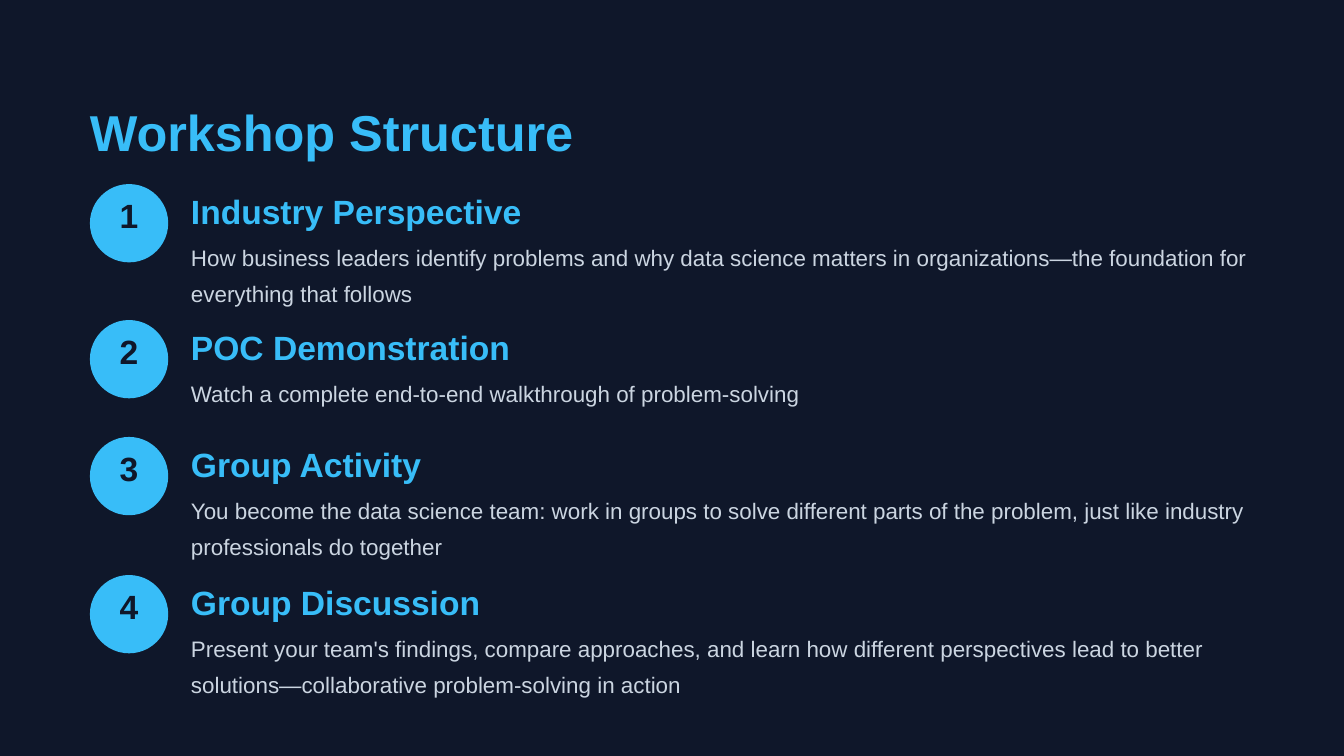
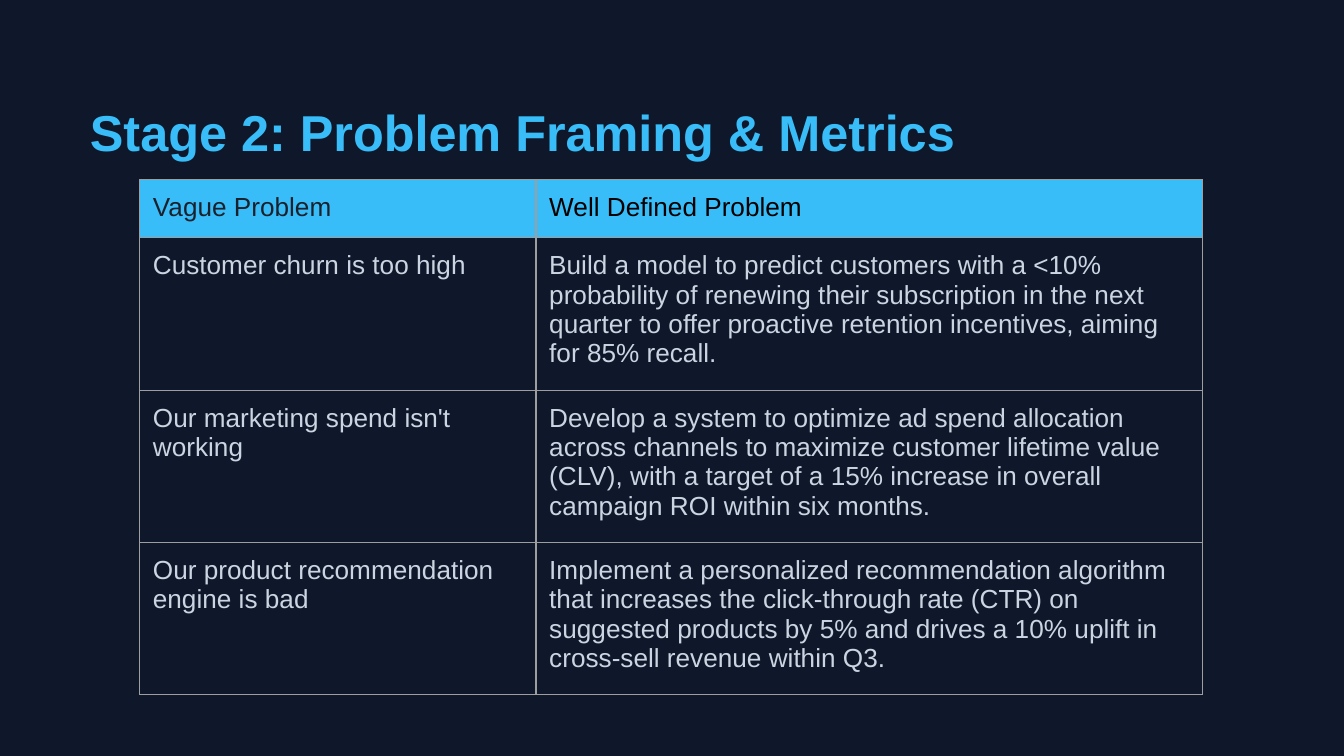
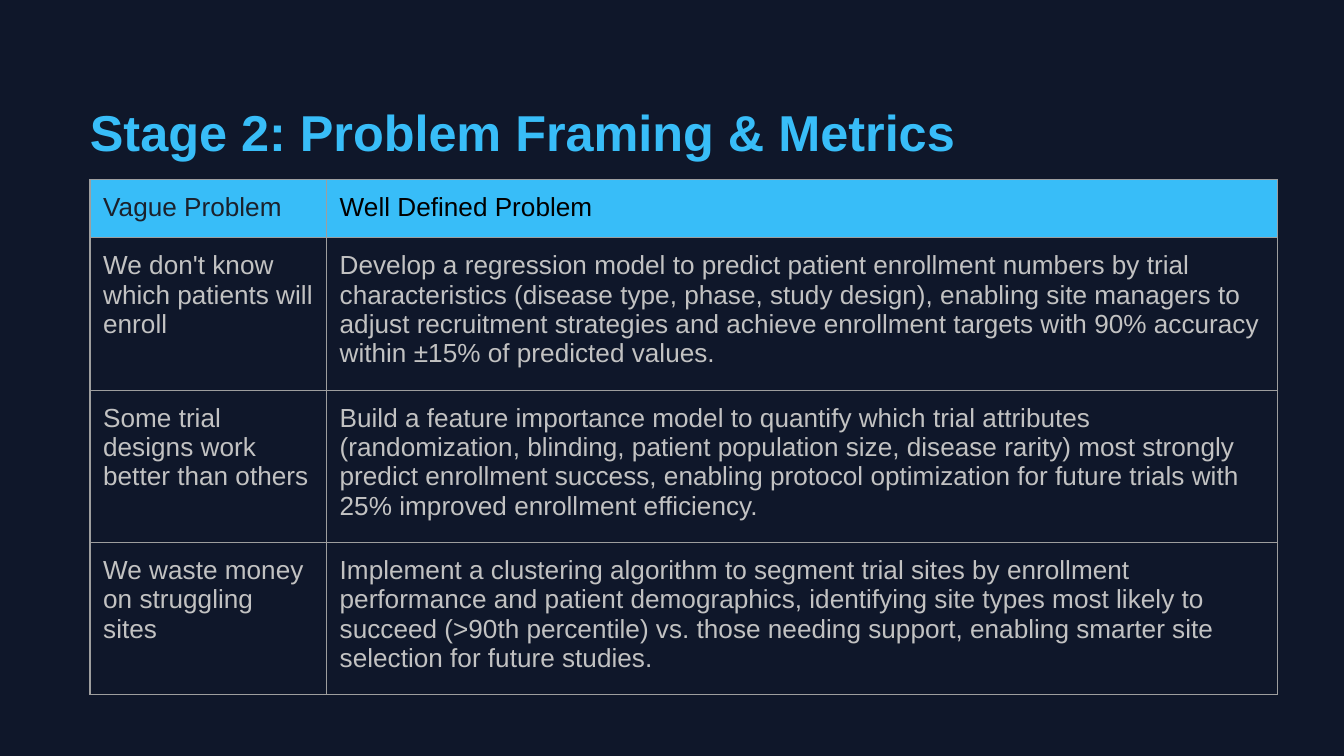
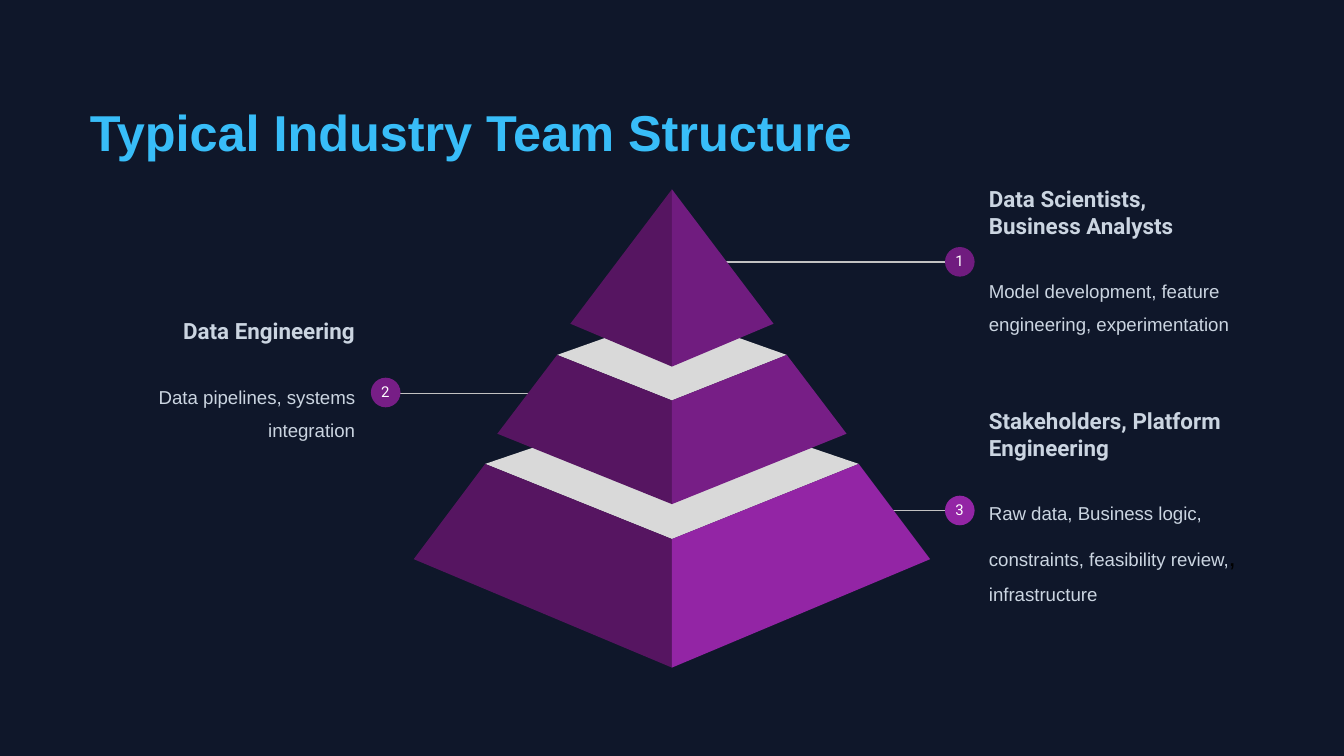
"""Build four dark workshop slides: structure, two framing tables and a team pyramid."""
from dataclasses import dataclass

from lxml.etree import SubElement
from pptx import Presentation
from pptx.dml.color import RGBColor
from pptx.enum.shapes import MSO_CONNECTOR, MSO_SHAPE
from pptx.enum.text import MSO_ANCHOR, MSO_AUTO_SIZE, PP_ALIGN
from pptx.oxml.ns import qn
from pptx.util import Cm, Pt


@dataclass(frozen=True)
class Theme:
    night: str = "0F172A"
    sky: str = "38BDF8"
    mist: str = "CBD5E1"
    silver: str = "C2C2C2"
    border: str = "9E9E9E"
    ink: str = "1B212C"
    black: str = "000000"
    white: str = "FFFFFF"
    ledge: str = "D9D9D9"
    shade: str = "561561"
    tiers: tuple = ("701C7F", "771E86", "9325A5")
    body_font: str = "Arial"
    label_font: str = "Roboto"
    title: int = 27
    heading: int = 18
    cell: int = 14
    text: int = 12
    detail: int = 10
    badge: int = 8


theme = Theme()


def paint(shape, color):
    shape.shadow.inherit = False
    shape.fill.solid()
    shape.fill.fore_color.rgb = RGBColor.from_string(color)
    shape.line.fill.background()


def write(slide, box, text, size, color, bold=False, align=PP_ALIGN.LEFT,
          spacing=None, font=theme.body_font, margin=0.0, grow=False):
    frame = slide.shapes.add_textbox(*[Cm(length) for length in box]).text_frame
    frame.word_wrap = True
    frame.auto_size = MSO_AUTO_SIZE.SHAPE_TO_FIT_TEXT if grow else MSO_AUTO_SIZE.NONE
    frame.margin_left = frame.margin_right = Cm(margin)
    frame.margin_top = frame.margin_bottom = Cm(margin)
    paragraph = frame.paragraphs[0]
    paragraph.text = text
    paragraph.alignment = align
    paragraph.line_spacing = spacing
    paragraph.font.name = font
    paragraph.font.size = Pt(size)
    paragraph.font.bold = bold
    paragraph.font.color.rgb = RGBColor.from_string(color)
    return frame


deck = Presentation()
deck.slide_width, deck.slide_height = Cm(25.4), Cm(14.29)

framing_title = "Stage 2: Problem Framing & Metrics"
slides = []
for title in ("Workshop Structure", framing_title, framing_title,
              "Typical Industry Team Structure"):
    slide = deck.slides.add_slide(deck.slide_layouts[6])
    slide.background.fill.solid()
    slide.background.fill.fore_color.rgb = RGBColor.from_string(theme.night)
    write(slide, (1.7, 1.7, 22.45, 1.14), title, theme.title, theme.sky,
          bold=True, spacing=1.19, grow=True)
    slides.append(slide)
structure, business_framing, trial_framing, team = slides

steps = [
    (3.48, "Industry Perspective",
     "How business leaders identify problems and why data science matters in "
     "organizations—the foundation for everything that follows"),
    (6.05, "POC Demonstration",
     "Watch a complete end-to-end walkthrough of problem-solving"),
    (8.26, "Group Activity",
     "You become the data science team: work in groups to solve different parts of the "
     "problem, just like industry professionals do together"),
    (10.87, "Group Discussion",
     "Present your team's findings, compare approaches, and learn how different "
     "perspectives lead to better solutions—collaborative problem-solving in action"),
]
for number, (top, heading, description) in enumerate(steps, 1):
    disc = structure.shapes.add_shape(
        MSO_SHAPE.ROUNDED_RECTANGLE, Cm(1.7), Cm(top), Cm(1.48), Cm(1.48))
    disc.adjustments[0] = 0.5
    paint(disc, theme.sky)
    write(structure, (1.92, top + 0.21, 1.04, 1.04), str(number), theme.heading,
          theme.night, bold=True, align=PP_ALIGN.CENTER)
    write(structure, (3.61, top, 20.52, 0.74), heading, theme.heading, theme.sky,
          bold=True, spacing=1.17, grow=True)
    write(structure, (3.61, top + 0.97, 20.52, 1.19), description, theme.text,
          theme.mist, spacing=1.33, grow=True)

business_problems = [
    ("Customer churn is too high",
     "Build a model to predict customers with a <10% probability of renewing their "
     "subscription in the next quarter to offer proactive retention incentives, aiming "
     "for 85% recall."),
    ("Our marketing spend isn't working",
     "Develop a system to optimize ad spend allocation across channels to maximize "
     "customer lifetime value (CLV), with a target of a 15% increase in overall campaign "
     "ROI within six months."),
    ("Our product recommendation engine is bad",
     "Implement a personalized recommendation algorithm that increases the click-through "
     "rate (CTR) on suggested products by 5% and drives a 10% uplift in cross-sell "
     "revenue within Q3."),
]
trial_problems = [
    ("We don't know which patients will enroll",
     "Develop a regression model to predict patient enrollment numbers by trial "
     "characteristics (disease type, phase, study design), enabling site managers to "
     "adjust recruitment strategies and achieve enrollment targets with 90% accuracy "
     "within ±15% of predicted values."),
    ("Some trial designs work better than others",
     "Build a feature importance model to quantify which trial attributes "
     "(randomization, blinding, patient population size, disease rarity) most strongly "
     "predict enrollment success, enabling protocol optimization for future trials with "
     "25% improved enrollment efficiency."),
    ("We waste money on struggling sites",
     "Implement a clustering algorithm to segment trial sites by enrollment performance "
     "and patient demographics, identifying site types most likely to succeed (>90th "
     "percentile) vs. those needing support, enabling smarter site selection for future "
     "studies."),
]
header = ("Vague Problem", "Well Defined Problem")
row_heights = (1.08, 2.88, 2.88, 2.88)
framings = [
    (business_framing, 2.64, (7.49, 12.6), theme.mist, business_problems),
    (trial_framing, 1.7, (4.47, 17.98), theme.silver, trial_problems),
]
for slide, left, widths, body_color, problems in framings:
    grid = slide.shapes.add_table(
        len(row_heights), len(widths), Cm(left), Cm(3.4),
        Cm(sum(widths)), Cm(sum(row_heights))).table
    grid.first_row = grid.horz_banding = False
    for column, width in zip(grid.columns, widths):
        column.width = Cm(width)
    for row, height, texts in zip(grid.rows, row_heights, [header, *problems]):
        row.height = Cm(height)
        is_header = texts is header
        colors = (theme.ink, theme.black) if is_header else (body_color, body_color)
        for cell, text, color in zip(row.cells, texts, colors):
            cell.margin_left = cell.margin_right = Cm(0.25)
            cell.margin_top = cell.margin_bottom = Cm(0.25)
            properties = cell._tc.get_or_add_tcPr()
            for edge in ("a:lnL", "a:lnR", "a:lnT", "a:lnB"):
                rule = SubElement(properties, qn(edge), w=str(Pt(0.75)))
                SubElement(SubElement(rule, qn("a:solidFill")), qn("a:srgbClr"),
                           val=theme.border)
            if is_header:
                cell.fill.solid()
                cell.fill.fore_color.rgb = RGBColor.from_string(theme.sky)
            else:
                cell.fill.background()
            paragraph = cell.text_frame.paragraphs[0]
            paragraph.text = text
            paragraph.font.name = theme.body_font
            paragraph.font.size = Pt(theme.cell)
            paragraph.font.bold = False
            paragraph.font.color.rgb = RGBColor.from_string(color)

roles = [
    (3, "Stakeholders, Platform Engineering",
     ("Raw data, Business logic, constraints, feasibility review,", ", ", "infrastructure"),
     (18.44, 7.65), (17.86, 9.37), (16.76, 18.39, 9.65), PP_ALIGN.LEFT, 0.25),
    (2, "Data Engineering", ("Data pipelines, systems integration",),
     (1.78, 5.51), (7.01, 7.14), (10.08, 7.19, 7.44), PP_ALIGN.RIGHT, 0.76),
    (1, "Data Scientists, Business Analysts",
     ("Model development, feature engineering, experimentation",),
     (18.44, 3.0), (17.86, 4.67), (13.64, 18.39, 4.95), PP_ALIGN.LEFT, 0.25),
]
for level, role, duties, corner, badge_corner, leader_span, align, bottom_margin in roles:
    start, end, height = [Cm(length) for length in leader_span]
    leader = team.shapes.add_connector(MSO_CONNECTOR.STRAIGHT, start, height, end, height)
    leader.line.color.rgb = RGBColor.from_string(theme.silver)
    leader.line.width = Pt(0.75)
    SubElement(leader._element.spPr, qn("a:effectLst"))

    caption = write(team, (*corner, 5.18, 3.84), role, theme.text, theme.mist, bold=True,
                    align=align, font=theme.label_font, margin=0.25)
    caption.vertical_anchor = MSO_ANCHOR.MIDDLE
    caption.margin_bottom = Cm(bottom_margin)
    duty_line = caption.add_paragraph()
    duty_line.alignment = align
    duty_line.line_spacing = 1.5
    duty_line.space_before = Pt(16)
    duty_line.font.name = theme.body_font
    duty_line.font.size = Pt(theme.detail)
    duty_line.font.bold = False
    duty_line.font.color.rgb = RGBColor.from_string(theme.mist)
    for duty in duties:
        run = duty_line.add_run()
        run.text = duty
        if duty == ", ":
            run.font.size = Pt(theme.cell)
            run.font.color.rgb = RGBColor.from_string(theme.black)

    badge_left, badge_top = badge_corner
    badge = team.shapes.add_shape(
        MSO_SHAPE.OVAL, Cm(badge_left), Cm(badge_top), Cm(0.56), Cm(0.56))
    paint(badge, theme.tiers[level - 1])
    write(team, (badge_left - 0.07, badge_top - 0.16, 0.69, 0.86), str(level), theme.badge,
          theme.white, align=PP_ALIGN.CENTER, font=theme.label_font, margin=0.25)

axis = 12.7
pyramid = [
    (theme.tiers[2], 7.57, [(3.53, 8.77), (4.88, 10.57), (0, 12.62), (0, 10.19)]),
    (theme.tiers[1], 5.94, [(2.17, 6.71), (3.3, 8.2), (0, 9.53), (0, 7.57)]),
    (theme.tiers[0], None, [(0, 3.58), (1.92, 6.12), (0, 6.93)]),
]
for color, ledge_back, lit_face in pyramid:
    shaded_face = [(-x, y) for x, y in lit_face]
    facets = [(theme.shade, shaded_face), (color, lit_face)]
    if ledge_back is not None:
        ledge = [shaded_face[0], lit_face[-1], lit_face[0], (0, ledge_back)]
        facets.insert(0, (theme.ledge, ledge))
    for facet_color, outline in facets:
        corners = [(Cm(axis + x), Cm(y)) for x, y in outline]
        builder = team.shapes.build_freeform(*corners[0], scale=1.0)
        builder.add_line_segments(corners[1:], close=True)
        paint(builder.convert_to_shape(), facet_color)

deck.save("out.pptx")
